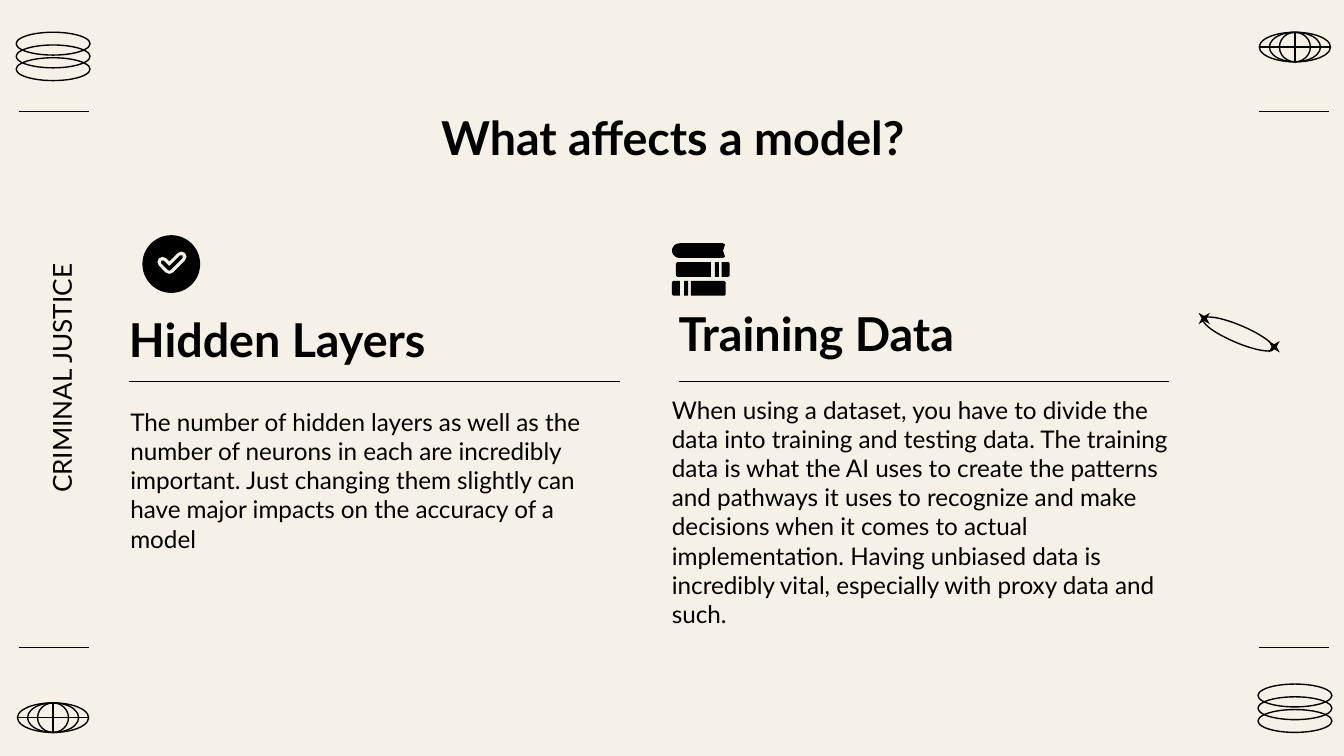
import math
from dataclasses import dataclass

from lxml import etree
from pptx import Presentation
from pptx import util as u
from pptx.dml.color import RGBColor
from pptx.enum import shapes, text
from pptx.oxml.ns import qn


@dataclass(frozen=True)
class Theme:
    ink: RGBColor = RGBColor.from_string("000000")
    paper: RGBColor = RGBColor.from_string("F6F1E7")
    font: str = "Lato"
    heading: float = 25
    body: float = 13
    label: float = 14
    rule: float = 0.75


def write(tf, words, size, theme, bold=False, align=text.PP_ALIGN.LEFT, inset=0):
    """Put one formatted paragraph in a text frame."""
    tf.word_wrap = True
    tf.auto_size = text.MSO_AUTO_SIZE.NONE
    tf.vertical_anchor = text.MSO_ANCHOR.TOP
    tf.margin_left = tf.margin_right = tf.margin_top = tf.margin_bottom = u.Inches(inset)
    p = tf.paragraphs[0]
    p.alignment = align
    p.space_before = u.Pt(0)
    r = p.add_run()
    r.text = words
    r.font.name, r.font.size, r.font.bold = theme.font, u.Pt(size), bold
    r.font.color.rgb = theme.ink


class Builder:
    """Holds the style and the current slide."""

    def __init__(self, s, theme):
        self.s, self.theme = s, theme
        s.background.fill.solid()
        s.background.fill.fore_color.rgb = theme.paper

    def paint(self, sp, filled):
        sp.shadow.inherit = False
        if filled:
            sp.fill.solid()
            sp.fill.fore_color.rgb = self.theme.ink
            sp.line.fill.background()
        else:
            sp.fill.background()
            sp.line.color.rgb = self.theme.ink
            sp.line.width = u.Pt(self.theme.rule)
        return sp

    def title(self, words, x, y, w, h):
        sp = self.s.shapes.title
        sp.left, sp.top, sp.width, sp.height = map(u.Inches, (x, y, w, h))
        write(sp.text_frame, words, self.theme.heading, self.theme, bold=True,
              align=text.PP_ALIGN.CENTER)

    def text(self, words, x, y, w, h, size, rotation=0, **fmt):
        sp = self.s.shapes.add_textbox(*map(u.Inches, (x, y, w, h)))
        sp.rotation = rotation
        write(sp.text_frame, words, size, self.theme, **fmt)

    def shape(self, kind, x, y, w, h, filled=False, rotation=0):
        sp = self.s.shapes.add_shape(kind, *map(u.Inches, (x, y, w, h)))
        sp.rotation = rotation
        return self.paint(sp, filled)

    def ellipse(self, *box, **fmt):
        return self.shape(shapes.MSO_SHAPE.OVAL, *box, **fmt)

    def line(self, x1, y1, x2, y2):
        cx = self.s.shapes.add_connector(
            shapes.MSO_CONNECTOR.STRAIGHT, *map(u.Inches, (x1, y1, x2, y2)))
        cx.line.color.rgb = self.theme.ink
        cx.line.width = u.Pt(self.theme.rule)
        etree.SubElement(cx._element.spPr, qn("a:effectLst"))

    def outline(self, points, closed=True):
        pts = [(u.Inches(x), u.Inches(y)) for x, y in points]
        fb = self.s.shapes.build_freeform(*pts[0])
        fb.add_line_segments(pts[1:], close=closed)
        return self.paint(fb.convert_to_shape(), closed)

    def stroke(self, points, color, width):
        """Open path with round ends and joins."""
        sp = self.outline(points, closed=False)
        sp.line.color.rgb = color
        sp.line.width = u.Pt(width)
        ln = sp.line._get_or_add_ln()
        ln.set("cap", "rnd")
        etree.SubElement(ln, qn("a:round"))

    def rings(self, x, y):
        for i in range(3):
            self.ellipse(x, y + i * 0.095, 0.55, 0.17)

    def globe(self, x, y, w=0.53, h=0.22):
        mid = x + w / 2
        for width in (w, 0.38, 0.23):
            self.ellipse(mid - width / 2, y, width, h)
        self.line(mid, y, mid, y + h)
        self.line(x, y + h / 2, x + w, y + h / 2)

    def orbit(self):
        self.ellipse(9.15, 2.2, 0.13, 0.57, rotation=293)
        for x, y in ((8.9, 2.31), (9.42, 2.52)):
            star = self.shape(shapes.MSO_SHAPE.STAR_4_POINT, x, y, 0.12, 0.12,
                              filled=True, rotation=45)
            star.adjustments[0] = 0.157

    def book_part(self, x, y, w, round_left=False, round_right=False, h=0.11):
        a, b = (0.01 if r else 0 for r in (round_left, round_right))
        self.outline([(x + a, y), (x + w - b, y), (x + w, y + b), (x + w, y + h - b),
                      (x + w - b, y + h), (x + a, y + h), (x, y + h - a), (x, y + a)])

    def books(self):
        # Top book: round spine on the left, hollow page edge on the right
        arc = [math.radians(90 + 15 * i) for i in range(13)]
        spine = [(5.06 + 0.06 * math.cos(t), 1.865 - 0.055 * math.sin(t)) for t in arc]
        self.outline(spine[::-1] + [(5.38, 1.81), (5.395, 1.82), (5.38, 1.865),
                                    (5.395, 1.91), (5.38, 1.92)])
        # Middle and bottom books
        self.book_part(5.03, 1.95, 0.26, round_left=True)
        self.book_part(5.32, 1.95, 0.03)
        self.book_part(5.37, 1.95, 0.06, round_right=True)
        self.book_part(5, 2.09, 0.06, round_left=True)
        self.book_part(5.09, 2.09, 0.03)
        self.book_part(5.14, 2.09, 0.26, round_right=True)

    def check(self):
        self.ellipse(1.06, 1.75, 0.43, 0.43, filled=True)
        tick = [(1.21, 1.95), (1.26, 2), (1.35, 1.91)]
        self.stroke(tick, self.theme.paper, 5.5)
        self.stroke(tick, self.theme.ink, 2)


def main():
    # Widescreen, 16 by 9
    prs = Presentation()
    prs.slide_width, prs.slide_height = u.Inches(10), u.Inches(10 * 9 / 16)
    theme = Theme()
    b = Builder(prs.slides.add_slide(prs.slide_layouts[5]), theme)

    # Corner ornaments and margin rules
    b.rings(0.12, 0.24)
    b.rings(9.36, 5.09)
    b.globe(9.37, 0.24)
    b.globe(0.13, 5.23)
    for x in (0.14, 9.37):
        for y in (0.83, 4.82):
            b.line(x, y, x + 0.52, y)
    b.orbit()
    b.text("CRIMINAL JUSTICE", -1.4, 2.71, 3.59, 0.21, theme.label, rotation=270,
           align=text.PP_ALIGN.CENTER, inset=0.05)

    # Title
    b.title("What affects a model?", 1.34, 0.81, 7.33, 0.46)

    # Two columns: heading, rule, body
    columns = [
        ("Hidden Layers", (0.96, 2.31, 3.43, 0.43),
         "The number of hidden layers as well as the number of neurons in each are "
         "incredibly important. Just changing them slightly can have major impacts on "
         "the accuracy of a model", (0.97, 3.03, 3.64, 0.76)),
        ("Training Data", (5.05, 2.27, 3.43, 0.54),
         "When using a dataset, you have to divide the data into training and testing "
         "data. The training data is what the AI uses to create the patterns and "
         "pathways it uses to recognize and make decisions when it comes to actual "
         "implementation. Having unbiased data is incredibly vital, especially with "
         "proxy data and such.", (5, 2.94, 3.7, 0.94)),
    ]
    for heading, head_box, body, body_box in columns:
        b.text(heading, *head_box, theme.heading, bold=True)
        b.line(head_box[0], 2.84, head_box[0] + 3.65, 2.84)
        b.text(body, *body_box, theme.body)

    # Column icons
    b.check()
    b.books()

    prs.save("out.pptx")


if __name__ == "__main__":
    main()
